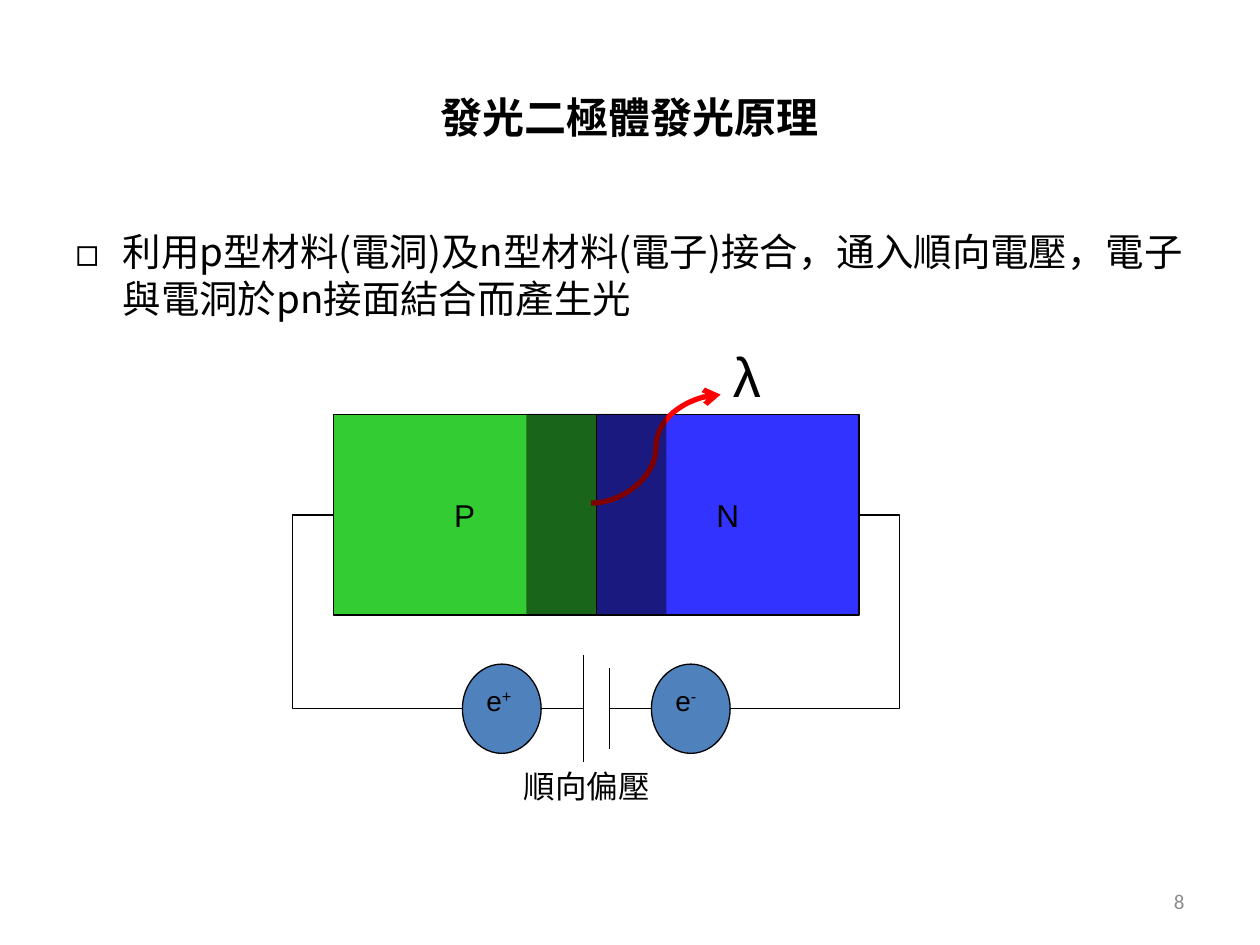
import pptx
import pptx.util
import pptx.dml.color
import pptx.enum.shapes
import pptx.enum.text
import pptx.oxml
import pptx.oxml.ns
from lxml import etree

Pt = pptx.util.Pt
qn = pptx.oxml.ns.qn
SHAPE = pptx.enum.shapes.MSO_SHAPE
LINK = pptx.enum.shapes.MSO_CONNECTOR
ALIGN = pptx.enum.text.PP_ALIGN
ANCHOR = pptx.enum.text.MSO_ANCHOR
CJK = "Noto Sans CJK SC"


def rgb(color):
    return pptx.dml.color.RGBColor.from_string(color)


def add_run(p, text, size, font="Arial", color="000000", bold=False, baseline=None):
    r = p.add_run()
    r.text = text
    r.font.size = Pt(size)
    r.font.name = font
    r.font.bold = bold
    r.font.color.rgb = rgb(color)
    props = r.font._element
    etree.SubElement(props, qn("a:ea"), typeface=CJK)
    if baseline:
        props.set("baseline", str(baseline))


def add_text(s, box, text, size, align=ALIGN.LEFT, anchor=ANCHOR.TOP, **style):
    tf = s.shapes.add_textbox(*map(Pt, box)).text_frame
    tf.word_wrap = True
    tf.vertical_anchor = anchor
    p = tf.paragraphs[0]
    p.alignment = align
    add_run(p, text, size, **style)
    return p


def add_block(s, kind, box, fill, outlined=True, alpha=None):
    sp = s.shapes.add_shape(kind, *map(Pt, box))
    sp.shadow.inherit = False
    sp.fill.solid()
    sp.fill.fore_color.rgb = rgb(fill)
    if alpha:
        color = sp.fill._xPr.find(".//" + qn("a:srgbClr"))
        etree.SubElement(color, qn("a:alpha"), val=str(alpha * 1000))
    if outlined:
        sp.line.color.rgb = rgb("000000")
        sp.line.width = Pt(0.75)
    else:
        sp.line.fill.background()
    return sp


def add_line(s, kind, start, end, color="000000", width=0.75, bend=None, arrow=False):
    """Join two points; bend is the middle leg's place as a share of the width."""
    cx = s.shapes.add_connector(kind, *map(Pt, (*start, *end)))
    cx.line.color.rgb = rgb(color)
    cx.line.width = Pt(width)
    props = cx._element.spPr
    if bend is not None:
        guides = props.find(qn("a:prstGeom")).get_or_add_avLst()
        etree.SubElement(guides, qn("a:gd"), name="adj1",
                         fmla=f"val {round(bend * 100000)}")
    if arrow:
        etree.SubElement(cx.line._get_or_add_ln(), qn("a:tailEnd"), type="arrow")
    etree.SubElement(props, qn("a:effectLst"))


def add_statement(s, box):
    p = add_text(s, box, "利用p型材料(電洞)及n型材料(電子)接合，通入順向電壓，"
                 "電子與電洞於pn接面結合而產生光", 22, font=CJK)
    props = p._p.get_or_add_pPr()
    props.set("marL", str(Pt(27)))
    props.set("indent", str(Pt(-27)))
    etree.SubElement(props, qn("a:buFont"), typeface=CJK)
    etree.SubElement(props, qn("a:buChar"), char="◻")
    p.line_spacing = Pt(27)


def add_junction(s, box):
    """P and N halves, bias circuit, emitted light and depletion zone."""
    left, top, width, height = box
    half, middle = width / 2, left + width / 2
    for i, (name, fill) in enumerate((("P", "33CC33"), ("N", "3333FF"))):
        sp = add_block(s, SHAPE.RECTANGLE, (left + i * half, top, half, height), fill)
        tf = sp.text_frame
        tf.vertical_anchor = ANCHOR.MIDDLE
        tf.paragraphs[0].alignment = ALIGN.CENTER
        add_run(tf.paragraphs[0], name, 18)

    wire_y, terminal_y = top + 168, top + height / 2
    plates = ((middle - 7.5, 30.5, left), (middle + 7.5, 23, left + width))
    for x, reach, terminal_x in plates:
        add_line(s, LINK.STRAIGHT, (x, wire_y - reach), (x, wire_y + reach))
        add_line(s, LINK.ELBOW, (terminal_x, terminal_y), (x, wire_y), bend=-0.163)

    add_text(s, (middle - 48.5, top + 198, 227, 29), "順向偏壓", 18)

    for x, sign in ((middle + 31.5, "-"), (middle - 76.5, "+")):
        sp = add_block(s, SHAPE.OVAL, (x, wire_y - 25.5, 45, 51), "4F81BD")
        tf = sp.text_frame
        tf.vertical_anchor = ANCHOR.TOP
        p = tf.paragraphs[0]
        p.alignment = ALIGN.LEFT
        add_run(p, "e", 16)
        add_run(p, sign, 16, baseline=30000)

    add_line(s, LINK.CURVE, (middle - 3, top + 50.5), (middle + 71, top - 11.5),
             "FF0000", 3, bend=0.5, arrow=True)
    add_text(s, (middle + 71, top - 45.5, 68, 46), "λ", 32)

    for x in (middle, middle - 40):
        add_block(s, SHAPE.RECTANGLE, (x, top - 0.5, 40, height + 0.5), "000000",
                  outlined=False, alpha=50)


def main():
    prs = pptx.Presentation()
    prs.slide_width, prs.slide_height = Pt(720), Pt(540)
    s = prs.slides.add_slide(prs.slide_layouts[6])
    add_text(s, (36, 21.5, 648, 90), "發光二極體發光原理", 24, ALIGN.CENTER,
             ANCHOR.MIDDLE, font="Calibri", bold=True)
    add_statement(s, (36, 126, 648, 356))
    add_junction(s, (190.5, 237, 300.5, 114.5))
    add_text(s, (516, 500.5, 168, 29), "8", 12, ALIGN.RIGHT, ANCHOR.MIDDLE,
             font="Calibri", color="8C8C8C")
    prs.save("out.pptx")


if __name__ == "__main__":
    main()
